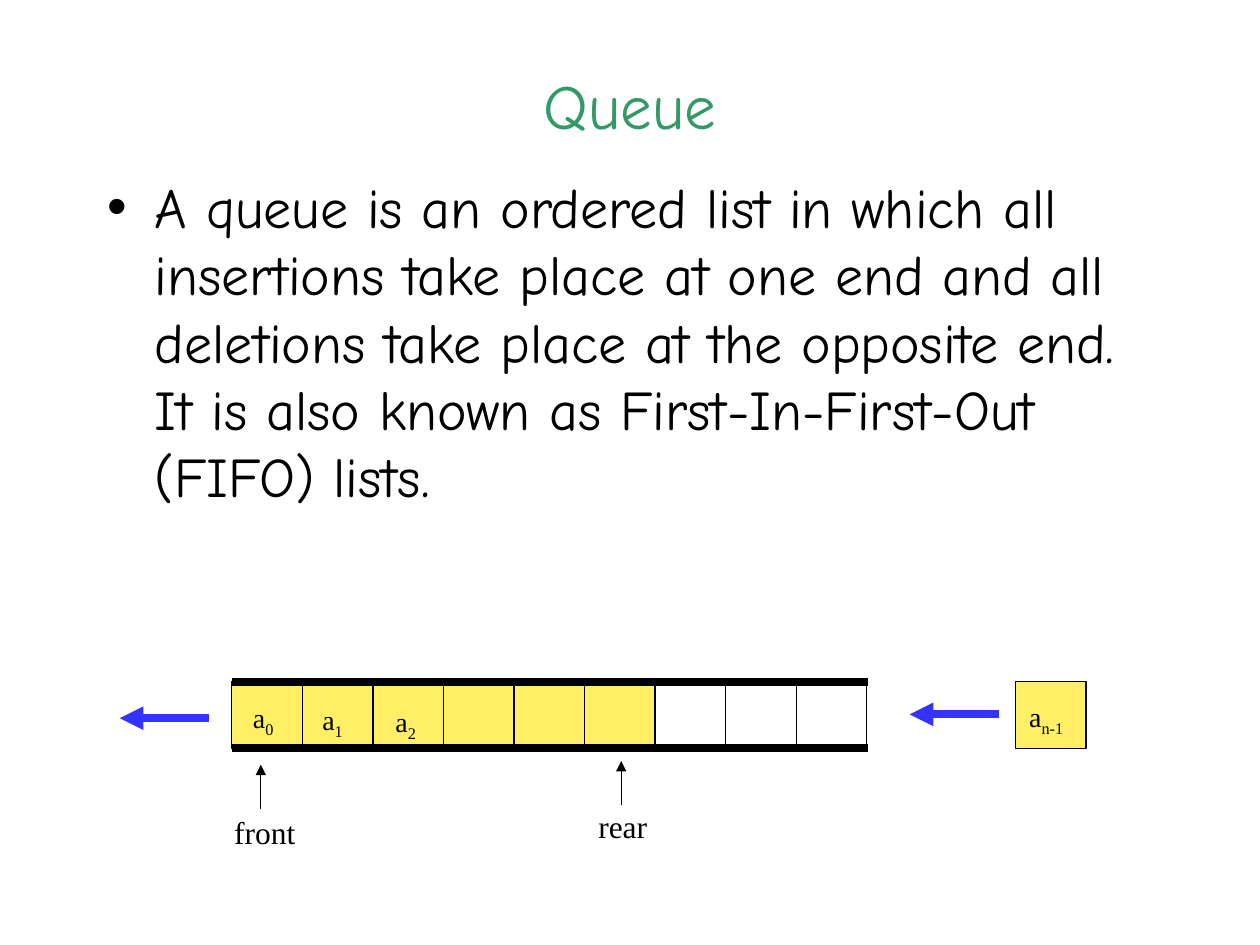
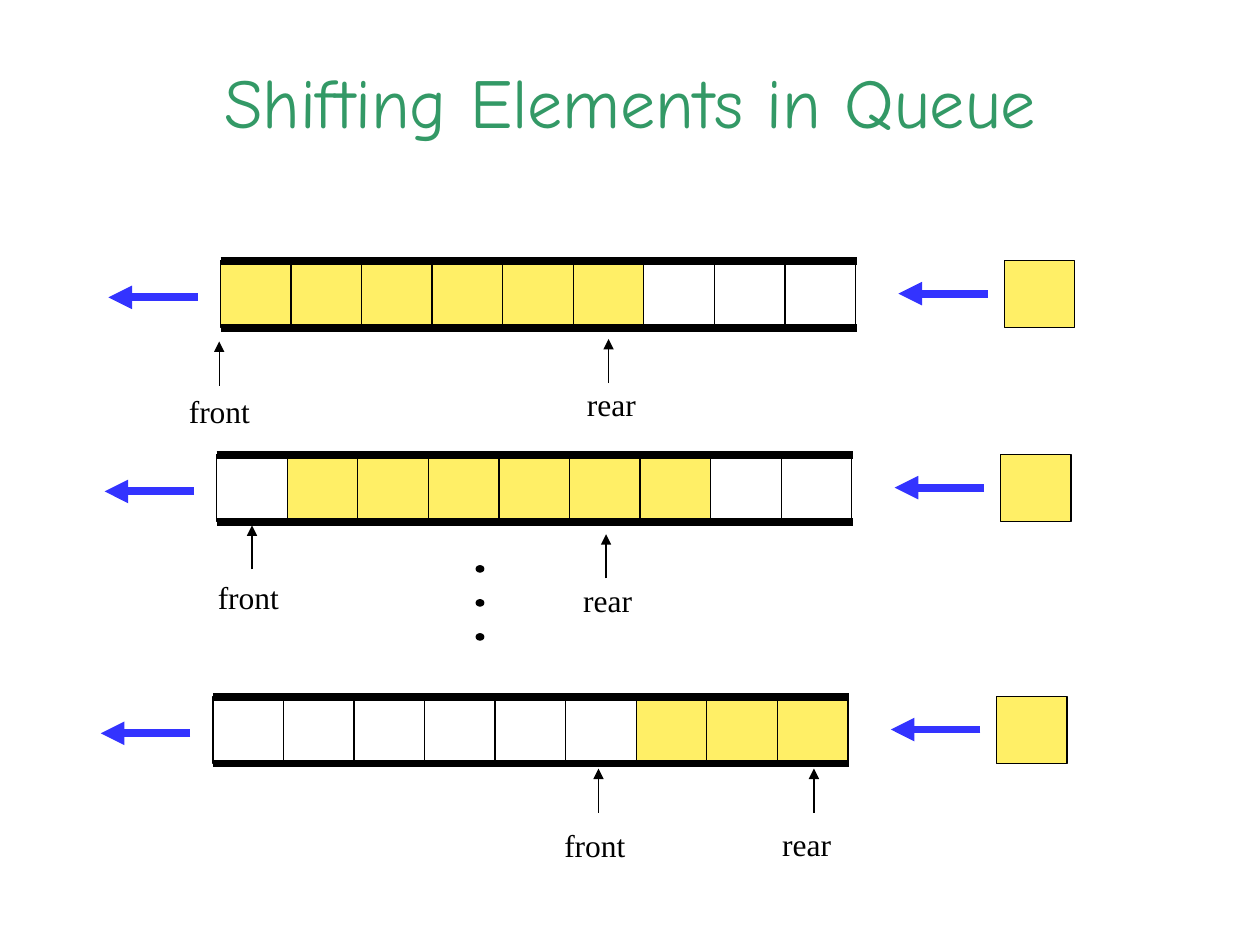
from dataclasses import dataclass

from lxml import etree
from pptx import Presentation
from pptx.dml.color import RGBColor
from pptx.enum.shapes import MSO_CONNECTOR, MSO_SHAPE
from pptx.enum.text import MSO_ANCHOR, MSO_AUTO_SIZE, PP_ALIGN
from pptx.oxml.ns import qn
from pptx.util import Pt

STRAIGHT = MSO_CONNECTOR.STRAIGHT
RECTANGLE, OVAL = MSO_SHAPE.RECTANGLE, MSO_SHAPE.OVAL
TOP, BOTTOM = MSO_ANCHOR.TOP, MSO_ANCHOR.BOTTOM
FIXED, GROW = MSO_AUTO_SIZE.NONE, MSO_AUTO_SIZE.SHAPE_TO_FIT_TEXT
LEFT, CENTER = PP_ALIGN.LEFT, PP_ALIGN.CENTER
PX = 9144  # 100 px to the inch


@dataclass(frozen=True)
class Theme:
    green: RGBColor = RGBColor.from_string("339966")
    yellow: RGBColor = RGBColor.from_string("FFEF66")
    blue: RGBColor = RGBColor.from_string("3333FF")
    black: RGBColor = RGBColor.from_string("000000")
    heading_font: str = "Comic Neue"
    label_font: str = "Times New Roman"
    body_size: int = 32
    pointer_size: int = 18
    element_size: int = 16
    thin: float = 0.75
    thick: float = 4.5


theme = Theme()

CELL_WIDTH, CELL_HEIGHT, RAIL_LENGTH = 56, 53, 505
POINTER_LENGTH = 35
LABEL_WIDTHS = {"front": 71, "rear": 61}
PLACEHOLDER_BOXES = {0: (73, 25, 854, 88), 1: (75, 132, 842, 519)}

# Cells: "x" is full, "o" is empty, "-" is open space between its neighbours.
# Pointers: name, tip x, tip y, label left, label top.
# Elements: subscript, left, top, width.
slides = [
    {
        "title": "Queue",
        "title_size": 36,
        "layout": 1,
        "body": "A queue is an ordered list in which all insertions take place at one end "
                "and all deletions take place at the opposite end. "
                "It is also known as First-In-First-Out (FIFO) lists.",
        "queues": [
            (184, 541, "xxxxxxo-o", [("front", 207, 607, 176, 640), ("rear", 493, 604, 465, 636)]),
        ],
        "elements": [("0", 191, 551, 40), ("1", 246, 553, 40),
                     ("2", 304, 554, 40), ("n-1", 807, 550, 64)],
        "dots": [],
    },
    {
        "title": "Shifting Elements in Queue",
        "title_size": 40,
        "layout": 5,
        "body": "",
        "queues": [
            (175, 207, "xxxxxxo-o", [("front", 174, 271, 140, 306), ("rear", 483, 269, 456, 301)]),
            (172, 361, "oxxxxxx-o", [("front", 200, 417, 163, 454), ("rear", 481, 424, 453, 456)]),
            (169, 553, "ooooooxxx", [("front", 475, 610, 438, 651), ("rear", 646, 610, 611, 650)]),
        ],
        "elements": [],
        "dots": [(378, 449 + 27 * row) for row in range(3)],
    },
]


def add_line(slide, start, end, color, width, arrow=False):
    line = slide.shapes.add_connector(STRAIGHT, *(value * PX for value in (*start, *end)))
    line.line.color.rgb = color
    line.line.width = Pt(width)
    if arrow:
        etree.SubElement(line.line._get_or_add_ln(), qn("a:tailEnd"), type="triangle")
    etree.SubElement(line._element.spPr, qn("a:effectLst"))


def add_label(slide, box, text, size, space_before, subscript=""):
    label = slide.shapes.add_textbox(*(value * PX for value in box))
    frame = label.text_frame
    frame.word_wrap = False
    frame.auto_size = GROW
    paragraph = frame.paragraphs[0]
    paragraph.space_before = Pt(space_before)
    for part in filter(None, (text, subscript)):
        run = paragraph.add_run()
        run.text = part
        for name, value in {"name": theme.label_font, "size": Pt(size)}.items():
            setattr(run.font, name, value)
        run.font.color.rgb = theme.black
    if subscript:
        run._r.get_or_add_rPr().set("baseline", "-25000")


presentation = Presentation()
presentation.slide_width = 1000 * PX
presentation.slide_height = 750 * PX

for content in slides:
    slide = presentation.slides.add_slide(presentation.slide_layouts[content["layout"]])

    formats = {
        0: (content["title"], content["title_size"], theme.green, CENTER, 0, 0,
            {"vertical_anchor": BOTTOM, "margin_left": 0, "margin_right": 0,
             "margin_top": 0, "margin_bottom": 0}),
        1: (content["body"], theme.body_size, theme.black, LEFT, 8, 38,
            {"vertical_anchor": TOP}),
    }
    for placeholder in slide.placeholders:
        index = placeholder.placeholder_format.idx
        text, size, color, alignment, space_before, indent, frame_format = formats[index]
        box = PLACEHOLDER_BOXES[index]
        for name, value in zip(("left", "top", "width", "height"), box):
            setattr(placeholder, name, value * PX)
        frame = placeholder.text_frame
        frame.text = text
        for name, value in {"word_wrap": True, "auto_size": FIXED, **frame_format}.items():
            setattr(frame, name, value)
        paragraph = frame.paragraphs[0]
        paragraph.alignment = alignment
        paragraph.space_before = Pt(space_before)
        font = paragraph.runs[0].font
        for name, value in {"name": theme.heading_font, "size": Pt(size)}.items():
            setattr(font, name, value)
        font.color.rgb = color
        if indent:
            properties = paragraph._p.get_or_add_pPr()
            properties.set("marL", str(indent * PX))
            properties.set("indent", str(-indent * PX))
            bullet_color = etree.SubElement(properties, qn("a:buClr"))
            etree.SubElement(bullet_color, qn("a:srgbClr"), val=str(theme.black))
            etree.SubElement(properties, qn("a:buChar"), char="•")

    # Queue cells, the element waiting to enter, and the ellipsis dots
    outlines = [(OVAL, x, y, 6, 5, theme.black) for x, y in content["dots"]]
    for left, top, cells, pointers in content["queues"]:
        for position, state in enumerate(cells):
            if state != "-":
                fill = theme.yellow if state == "x" else None
                outlines.append((RECTANGLE, left + position * CELL_WIDTH, top,
                                 CELL_WIDTH, CELL_HEIGHT, fill))
        outlines.append((RECTANGLE, left + 622, top, CELL_WIDTH, CELL_HEIGHT, theme.yellow))
    for kind, x, y, width, height, fill in outlines:
        shape = slide.shapes.add_shape(kind, x * PX, y * PX, width * PX, height * PX)
        shape.shadow.inherit = False
        shape.line.color.rgb = theme.black
        shape.line.width = Pt(theme.thin)
        if fill is None:
            shape.fill.background()
        else:
            shape.fill.solid()
            shape.fill.fore_color.rgb = fill

    for left, top, cells, pointers in content["queues"]:
        for rail_y in (top, top + CELL_HEIGHT):
            add_line(slide, (left, rail_y), (left + RAIL_LENGTH, rail_y),
                     theme.black, theme.thick)
        for tail_x, arrow_y in ((left + 609, top + 26), (left - 18, top + 29)):
            add_line(slide, (tail_x, arrow_y), (tail_x - 71, arrow_y),
                     theme.blue, theme.thick, arrow=True)
        for name, tip_x, tip_y, label_left, label_top in pointers:
            add_line(slide, (tip_x, tip_y + POINTER_LENGTH), (tip_x, tip_y),
                     theme.black, theme.thin, arrow=True)
            add_label(slide, (label_left, label_top, LABEL_WIDTHS[name], 40),
                      name, theme.pointer_size, 11.2)

    for subscript, left, top, width in content["elements"]:
        add_label(slide, (left, top, width, 41), "a", theme.element_size, 10, subscript)

presentation.save("out.pptx")
